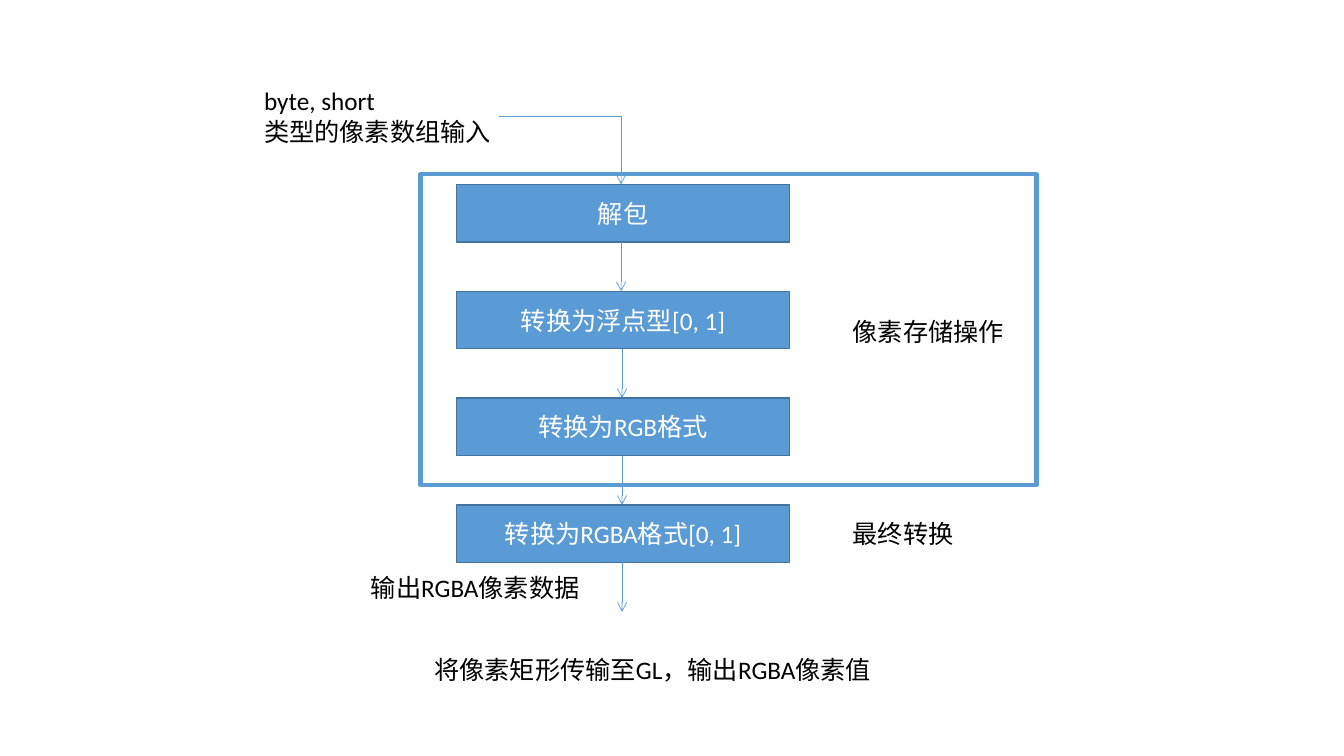
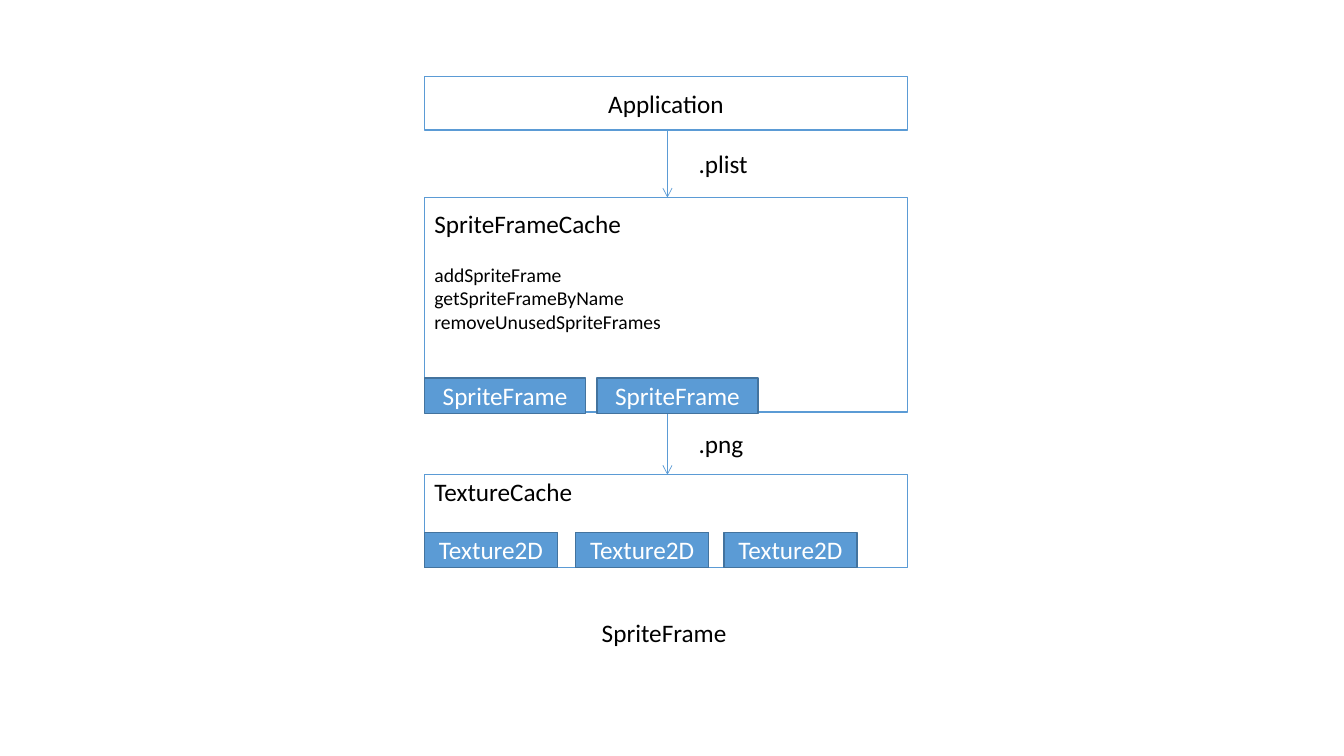
"""Build two flow diagrams: the pixel pipeline and the sprite frame cache."""
from lxml import etree
from pptx import Presentation
from pptx import util as u
from pptx.dml.color import RGBColor
from pptx.enum import shapes, text
from pptx.oxml.ns import qn

COLORS = {"blue": "5B9BD5", "edge": "43739E", "white": "FFFFFF", "black": "000000"}
STYLES = {
    "step": {"fill": "blue", "line": "edge", "width": 1, "color": "white", "align": "CENTER"},
    "outline": {"fill": None, "line": "blue", "width": 1, "color": "black", "align": "CENTER"},
    "panel": {"fill": None, "line": "blue", "width": 1, "color": "black", "align": "LEFT"},
    "frame": {"fill": "white", "line": "blue", "width": 3, "color": "black", "align": "CENTER"},
    "label": {"fill": None, "line": None, "color": "black", "align": "LEFT"},
}


def add_box(slide, at, lines, style_name, wrap=True, top=None):
    style = STYLES[style_name]
    area = [u.Inches(value) for value in at]
    if style["line"]:
        shape = slide.shapes.add_shape(shapes.MSO_SHAPE.RECTANGLE, *area)
        shape.shadow.inherit = False
        shape.line.color.rgb = RGBColor.from_string(COLORS[style["line"]])
        shape.line.width = u.Pt(style["width"])
    else:
        shape = slide.shapes.add_textbox(*area)
    if style["fill"]:
        shape.fill.solid()
        shape.fill.fore_color.rgb = RGBColor.from_string(COLORS[style["fill"]])
    else:
        shape.fill.background()
    frame = shape.text_frame
    frame.word_wrap = wrap
    at_top = style_name in ("label", "panel")
    frame.vertical_anchor = text.MSO_ANCHOR.TOP if at_top else text.MSO_ANCHOR.MIDDLE
    if top is not None:
        frame.margin_top = u.Inches(top)
    for index, (wording, size, space) in enumerate(lines):
        paragraph = frame.paragraphs[0] if index == 0 else frame.add_paragraph()
        paragraph.alignment = getattr(text.PP_ALIGN, style["align"])
        paragraph.space_before = u.Pt(space)
        run = paragraph.add_run()
        run.text = wording
        color = RGBColor.from_string(COLORS[style["color"]])
        run.font.color.rgb = color
        for name, value in {"name": "Calibri", "size": u.Pt(size)}.items():
            setattr(run.font, name, value)


def add_arrow(slide, start, end):
    bent = start[0] != end[0]
    kind = shapes.MSO_CONNECTOR.ELBOW if bent else shapes.MSO_CONNECTOR.STRAIGHT
    connector = slide.shapes.add_connector(kind, *[u.Inches(value) for value in start + end])
    connector.line.color.rgb = RGBColor.from_string(COLORS["blue"])
    connector.line.width = u.Pt(0.5)
    properties = connector.element.spPr
    if bent:
        properties.find(qn("a:prstGeom")).set("prst", "bentConnector2")
    etree.SubElement(properties.find(qn("a:ln")), qn("a:tailEnd"), type="arrow")
    etree.SubElement(properties, qn("a:effectLst"))


presentation = Presentation()
presentation.slide_width = u.Inches(13.33)
presentation.slide_height = u.Inches(7.5)
blank = presentation.slide_layouts[6]

pipeline = presentation.slides.add_slide(blank)
add_box(pipeline, (4.17, 1.73, 6.11, 3.08), [], "frame")
steps = ["解包", "转换为浮点型[0, 1]", "转换为RGB格式", "转换为RGBA格式[0, 1]"]
step_top, step_height, step_pitch = 1.83, 0.57, 1.06
for index, step in enumerate(steps):
    y = step_top + index * step_pitch
    add_box(pipeline, (4.53, y, 3.3, step_height), [(step, 18, 0)], "step")
    x = 6.16 if index == 0 else 6.17
    add_arrow(pipeline, (x, y + step_height), (x, y + step_pitch))
add_arrow(pipeline, (4.95, 1.15), (6.16, step_top))
for at, lines, wrap in [
    ((2.52, 0.8, 2.45, 0.71), ["byte, short", "类型的像素数组输入"], False),
    ((8.36, 3.09, 1.7, 0.4), ["像素存储操作"], False),
    ((8.36, 5.09, 1.2, 0.4), ["最终转换"], False),
    ((3.58, 5.63, 2.27, 0.4), ["输出RGBA像素数据"], True),
    ((4.21, 6.44, 4.53, 0.4), ["将像素矩形传输至GL，输出RGBA像素值"], True),
]:
    add_box(pipeline, at, [(line, 18, 0) for line in lines], "label", wrap)

cache = presentation.slides.add_slide(blank)
left, width = 4.21, 4.79
methods = [("addSpriteFrame", 14, 17), ("getSpriteFrameByName", 14, 0),
           ("removeUnusedSpriteFrames", 14, 0)]
add_box(cache, (left, 1.96, width, 2.13), [("SpriteFrameCache", 18, 0)] + methods,
        "panel", top=0.11)
add_box(cache, (left, 4.71, width, 0.92), [("TextureCache", 18, 0)], "panel", top=0.02)
add_box(cache, (left, 0.76, width, 0.53), [("Application", 18, 0)], "outline")
for start, end in [(1.29, 1.96), (4.09, 4.71)]:
    add_arrow(cache, (6.62, start), (6.62, end))
for wording, columns, y, item_width in [
    ("SpriteFrame", [left, 5.92], 3.75, 1.6),
    ("Texture2D", [left, 5.71, 7.18], 5.28, 1.32),
]:
    for x in columns:
        add_box(cache, (x, y, item_width, 0.35), [(wording, 18, 0)], "step")
for wording, at in [
    (".plist", (6.83, 1.42, 0.69, 0.4)),
    (".png", (6.83, 4.2, 0.64, 0.4)),
    ("SpriteFrame", (5.87, 6.08, 1.44, 0.4)),
]:
    add_box(cache, at, [(wording, 18, 0)], "label", wrap=False)

presentation.save("out.pptx")
